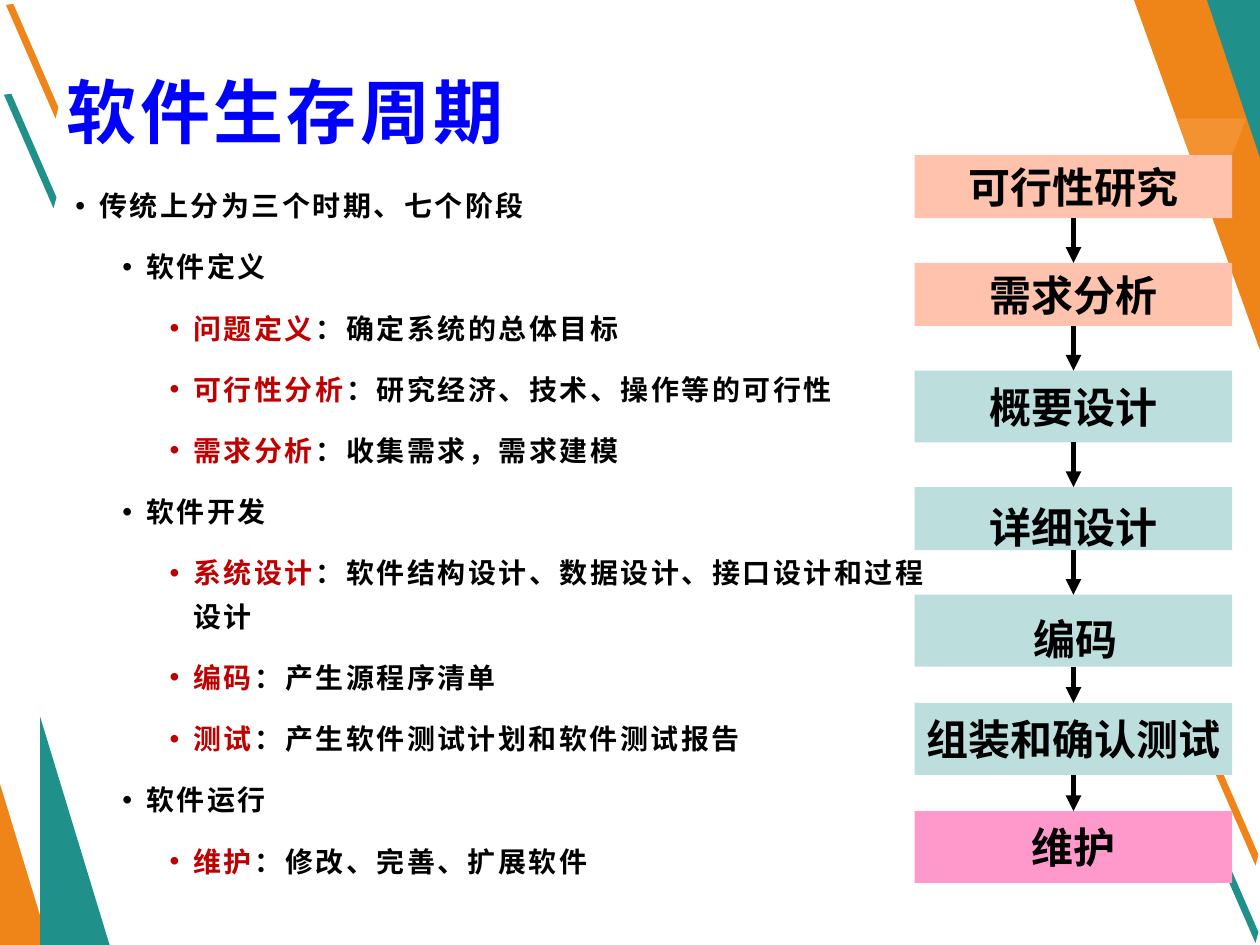
from lxml.etree import SubElement
from pptx import Presentation
from pptx.dml.color import RGBColor
from pptx.enum.shapes import MSO_CONNECTOR, MSO_SHAPE
from pptx.enum.text import MSO_ANCHOR, MSO_AUTO_SIZE, PP_ALIGN
from pptx.oxml.ns import qn
from pptx.util import Cm, Pt

SANS = "Noto Sans CJK SC"
BLACK, RED, BLUE = "000000", "C00000", "0000FF"
ORANGE, AMBER, TEAL = "EF8519", "F39231", "20908A"
PEACH, MINT, PINK = "FFC2AD", "BCDFDE", "FF99CC"

SHARD = [(0, 0), (0.15, -0.02), (1.06, 2.07), (1, 2.29)]
SHARDS = [(24.31, 15.16, ORANGE), (0.08, 1.91, TEAL),
          (0.12, 0.1, ORANGE), (24.31, 16.72, TEAL)]
CORNER = [
    ([(22.86, 0), (25.4, 0), (25.4, 7.06)], ORANGE),
    ([(24.33, 0), (25.4, 0), (25.4, 3.18)], TEAL),
    ([(25.12, 2.39), (24.41, 4.27), (23.72, 2.39)], AMBER),
]
PEAKS = [(0, 15.8, 0.99, 3.25, ORANGE), (0.81, 14.45, 1.4, 4.6, TEAL)]

OUTLINE = [
    (0, "", "传统上分为三个时期、七个阶段"),
    (1, "", "软件定义"),
    (2, "问题定义", "：确定系统的总体目标"),
    (2, "可行性分析", "：研究经济、技术、操作等的可行性"),
    (2, "需求分析", "：收集需求，需求建模"),
    (1, "", "软件开发"),
    (2, "系统设计", "：软件结构设计、数据设计、接口设计和过程设计"),
    (2, "编码", "：产生源程序清单"),
    (2, "测试", "：产生软件测试计划和软件测试报告"),
    (1, "", "软件运行"),
    (2, "维护", "：修改、完善、扩展软件"),
]

STAGES = [
    ([("可行性研究", 24)], PEACH, 1.27, 0.9),
    ([("需求分析", 24)], PEACH, 1.27, 0.9),
    ([("概要设计", 24)], MINT, 1.45, 0.9),
    ([(" ", 36), ("详细设计", 24), (" ", 36)], MINT, 1.27, 0.9),
    ([(" ", 36), ("编码 ", 24)], MINT, 1.45, 0.73),
    ([("组装和确认测试", 24)], MINT, 1.45, 0.73),
    ([("维护", 24)], PINK, 1.45, 0),
]


def color(hue):
    """Turn a hex string into a colour."""
    return RGBColor.from_string(hue)


def paint(shape, hue):
    """Give a shape a flat fill with no line or shadow."""
    shape.shadow.inherit = False
    shape.fill.solid()
    shape.fill.fore_color.rgb = color(hue)
    shape.line.fill.background()


def add_run(para, text, size, hue=BLACK, face=SANS, gap=0):
    """Add one bold run to a paragraph."""
    run = para.add_run()
    run.text = text
    font = run.font
    font.size, font.bold, font.name = Pt(size), True, face
    font.color.rgb = color(hue)
    props = run._r.get_or_add_rPr()
    SubElement(props, qn("a:ea")).set("typeface", SANS)
    if gap:
        props.set("spc", str(int(gap * 100)))


def add_poly(slide, points, hue):
    """Draw a closed outline through points in centimetres."""
    first, *rest = [(Cm(x), Cm(y)) for x, y in points]
    pen = slide.shapes.build_freeform(*first)
    pen.add_line_segments(rest, close=True)
    paint(pen.convert_to_shape(), hue)


def add_decor(slide):
    """Draw the shards, corner bands and peaks at the edges."""
    for left, top, hue in SHARDS:
        add_poly(slide, [(left + x, top + y) for x, y in SHARD], hue)
    for points, hue in CORNER:
        add_poly(slide, points, hue)
    for left, top, width, height, hue in PEAKS:
        peak = slide.shapes.add_shape(
            MSO_SHAPE.ISOSCELES_TRIANGLE,
            Cm(left), Cm(top), Cm(width), Cm(height))
        peak.adjustments[0] = 0
        paint(peak, hue)


def set_title(slide, text):
    """Place and format the title."""
    title = slide.shapes.title
    title.left, title.top = Cm(1.09), Cm(1.32)
    title.width, title.height = Cm(21.18), Cm(1.8)
    frame = title.text_frame
    frame.auto_size = MSO_AUTO_SIZE.NONE
    frame.vertical_anchor = MSO_ANCHOR.MIDDLE
    para = frame.paragraphs[0]
    para.alignment = PP_ALIGN.LEFT
    add_run(para, text, 40, BLUE, gap=2)


def set_bullet(para, level):
    """Indent a paragraph by its level and give it a bullet."""
    para.level = level
    props = para._p.get_or_add_pPr()
    props.set("marL", str(Cm(0.48 + 0.95 * level)))
    props.set("indent", str(Cm(-0.48)))
    SubElement(props, qn("a:buFont")).set("typeface", "Arial")
    SubElement(props, qn("a:buChar")).set("char", "•")
    para.line_spacing = 1.3
    para.space_after = Pt(10)


def add_outline(slide):
    """Write the bulleted list of periods and phases."""
    box = slide.shapes.add_textbox(Cm(1.27), Cm(3.48), Cm(17.7), Cm(12.88))
    frame = box.text_frame
    frame.word_wrap = True
    for i, (level, term, text) in enumerate(OUTLINE):
        para = frame.add_paragraph() if i else frame.paragraphs[0]
        set_bullet(para, level)
        if term:
            add_run(para, term, 16, RED, gap=1.5)
        add_run(para, text, 16, gap=1.5)


def add_stage(slide, top, height, runs, hue):
    """Draw one stage box of the flow."""
    box = slide.shapes.add_shape(
        MSO_SHAPE.RECTANGLE, Cm(18.44), Cm(top), Cm(6.4), Cm(height))
    paint(box, hue)
    frame = box.text_frame
    frame.word_wrap = False
    frame.vertical_anchor = MSO_ANCHOR.MIDDLE
    para = frame.paragraphs[0]
    para.alignment = PP_ALIGN.CENTER
    for text, size in runs:
        add_run(para, text, size, face="Arial")
    return box


def add_arrow(slide, start, end):
    """Join the bottom of one box to the top of the next."""
    arrow = slide.shapes.add_connector(MSO_CONNECTOR.STRAIGHT, 0, 0, 0, 0)
    arrow.begin_connect(start, 2)
    arrow.end_connect(end, 0)
    arrow.line.width = Pt(3)
    arrow.line.color.rgb = color(BLACK)
    SubElement(arrow.line._get_or_add_ln(), qn("a:tailEnd")).set("type", "triangle")
    SubElement(arrow._element.spPr, qn("a:effectLst"))


def add_flow(slide):
    """Stack the stage boxes and link them with arrows."""
    top, boxes = 3.13, []
    for runs, hue, height, gap in STAGES:
        boxes.append(add_stage(slide, top, height, runs, hue))
        top += height + gap
    for start, end in zip(boxes, boxes[1:]):
        add_arrow(slide, start, end)


def main():
    """Build the slide and save it."""
    deck = Presentation()
    deck.slide_width, deck.slide_height = Cm(25.4), Cm(19.05)
    slide = deck.slides.add_slide(deck.slide_layouts[5])
    add_decor(slide)
    set_title(slide, "软件生存周期")
    add_outline(slide)
    add_flow(slide)
    deck.save("out.pptx")


if __name__ == "__main__":
    main()
